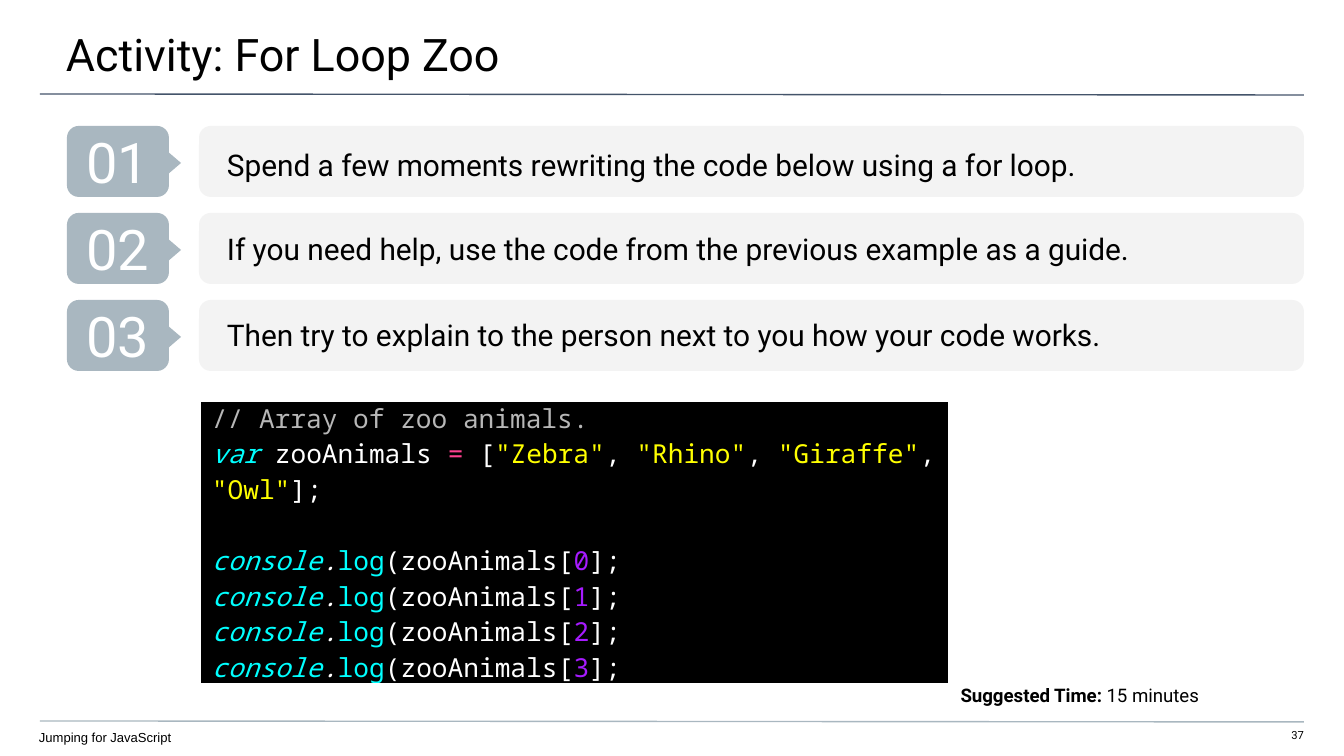
from lxml import etree
from pptx import Presentation
from pptx.dml.color import RGBColor
from pptx.enum.shapes import MSO_CONNECTOR, MSO_SHAPE
from pptx.enum.text import MSO_ANCHOR, MSO_AUTO_SIZE, PP_ALIGN
from pptx.oxml.ns import qn
from pptx.util import Pt

LEFT, CENTER, RIGHT = PP_ALIGN.LEFT, PP_ALIGN.CENTER, PP_ALIGN.RIGHT
TOP, MIDDLE = MSO_ANCHOR.TOP, MSO_ANCHOR.MIDDLE
ROUND, ARROW = MSO_SHAPE.ROUNDED_RECTANGLE, MSO_SHAPE.FLOWCHART_EXTRACT

BLACK = RGBColor(0x00, 0x00, 0x00)
WHITE = RGBColor(0xFF, 0xFF, 0xFF)
NAVY = RGBColor(0x44, 0x54, 0x6A)
SLATE = RGBColor(0xA9, 0xB7, 0xC0)
PALE = RGBColor(0xF3, 0xF3, 0xF3)
GRAY = RGBColor(0xB7, 0xB7, 0xB7)
CYAN = RGBColor(0x00, 0xFF, 0xFF)
PINK = RGBColor(0xFF, 0x40, 0x8F)
YELLOW = RGBColor(0xFF, 0xFF, 0x00)
PURPLE = RGBColor(0xA7, 0x1B, 0xFF)

TITLE = "Activity: For Loop Zoo"
STEPS = [
    ("01", "Spend a few moments rewriting the code below using a for loop.", 6),
    ("02", "If you need help, use the code from the previous example as a guide.", 3),
    ("03", "Then try to explain to the person next to you how your code works.", 2),
]
TIME = [("Suggested Time: ", {"bold": True}), ("15 minutes", {})]
FOOTER = "Jumping for JavaScript"
PAGE = "37"
ANIMALS = ["Zebra", "Rhino", "Giraffe", "Owl"]


def code_run(text, color=WHITE, italic=False):
    return text, {"color": color, "italic": italic}


def array_line():
    runs = [code_run("var ", CYAN, True), code_run("zooAnimals "),
            code_run("=", PINK), code_run(" [")]
    for i, animal in enumerate(ANIMALS):
        if i:
            runs.append(code_run(", "))
        runs.append(code_run(f'"{animal}"', YELLOW))
    return runs + [code_run("];")]


def log_line(i):
    return [code_run("console", CYAN, True), code_run(".", WHITE, True),
            code_run("log", CYAN), code_run("(zooAnimals["),
            code_run(str(i), PURPLE), code_run("];")]


CODE = [[code_run("// Array of zoo animals.", GRAY)], array_line(), []]
CODE += [log_line(i) for i in range(len(ANIMALS))]

EMU_PER_PX = 914400 / 134.4
STEP_TOP, STEP_PITCH, STEP_H = 126, 87, 71
FULL_X, FULL_W = -1, 1348


def px(*values):
    return [round(v * EMU_PER_PX) for v in values]


def write(p, runs, size, font="Roboto", color=BLACK, align=LEFT):
    p.alignment = align
    for text, style in runs:
        r = p.add_run()
        r.text = text
        r.font.name, r.font.size = font, Pt(size)
        r.font.color.rgb = style.get("color", color)
        r.font.bold = style.get("bold", False)
        r.font.italic = style.get("italic", False)


def set_text(s, text, size, insets=(0, 0, 0, 0), anchor=TOP, **fmt):
    tf = s.text_frame
    tf.word_wrap, tf.auto_size = True, MSO_AUTO_SIZE.NONE
    tf.vertical_anchor = anchor
    tf.margin_left, tf.margin_top, tf.margin_right, tf.margin_bottom = px(*insets)
    runs = [(text, {})] if isinstance(text, str) else text
    write(tf.paragraphs[0], runs, size, **fmt)


def add_text(shapes, box, text, size, **fmt):
    set_text(shapes.add_textbox(*px(*box)), text, size, **fmt)


def add_block(shapes, kind, box, fill):
    s = shapes.add_shape(kind, *px(*box))
    s.shadow.inherit = False
    s.fill.solid()
    s.fill.fore_color.rgb = fill
    s.line.fill.background()
    return s


def add_rule(shapes, y1, y2, color):
    s = shapes.add_connector(MSO_CONNECTOR.STRAIGHT, *px(40, y1, 1304, y2))
    s.line.color.rgb, s.line.width = color, Pt(0.75)
    etree.SubElement(s._element.spPr, qn("a:effectLst"))


def add_step(shapes, y, number, text, offset):
    add_block(shapes, ROUND, (199, y, 1105, STEP_H), PALE)
    badge = shapes.add_group_shape().shapes
    s = add_block(badge, ROUND, (67, y, 102, STEP_H), SLATE)
    set_text(s, number, 30, insets=(13, 13, 13, 13), anchor=MIDDLE,
             color=WHITE, align=CENTER)
    add_block(badge, ARROW, (143, y + 23, 48, 28), SLATE).rotation = 90
    add_text(shapes, (FULL_X, y + offset, FULL_W, 66), text, 16,
             insets=(228, 0, 67, 0), anchor=MIDDLE)


def add_border(cell, color, width):
    tc_pr = cell._tc.get_or_add_tcPr()
    for i, side in enumerate(("lnL", "lnR", "lnT", "lnB")):
        ln = etree.Element(qn(f"a:{side}"), w=str(Pt(width)))
        fill = etree.SubElement(ln, qn("a:solidFill"))
        etree.SubElement(fill, qn("a:srgbClr"), val=str(color))
        tc_pr.insert(i, ln)


def add_code(shapes, lines, size=14, font="Noto Sans Mono"):
    cell = shapes.add_table(1, 1, *px(199, 400, 751, 266)).table.cell(0, 0)
    cell.fill.solid()
    cell.fill.fore_color.rgb = BLACK
    add_border(cell, WHITE, 2.25)
    cell.vertical_anchor = MIDDLE
    cell.margin_left, cell.margin_top, cell.margin_right, cell.margin_bottom = px(13, 0, 13, 0)
    tf = cell.text_frame
    for i, line in enumerate(lines):
        p = tf.add_paragraph() if i else tf.paragraphs[0]
        write(p, line, size, font=font)
        if not line:
            end = etree.SubElement(p._p, qn("a:endParaRPr"), sz=str(size * 100))
            etree.SubElement(end, qn("a:latin"), typeface=font)


def main():
    prs = Presentation()
    prs.slide_width, prs.slide_height = px(1344, 756)
    slide = prs.slides.add_slide(prs.slide_layouts[5])
    shapes = slide.shapes

    title = shapes.title
    title.left, title.top, title.width, title.height = px(FULL_X, 0, FULL_W, 78)
    set_text(title, TITLE, 24, insets=(67, 27, 40, 13))
    add_rule(shapes, 94, 95, NAVY)
    add_rule(shapes, 721, 722, SLATE)

    for i, (number, text, offset) in enumerate(STEPS):
        add_step(shapes, STEP_TOP + i * STEP_PITCH, number, text, offset)
    add_code(shapes, CODE)

    add_text(shapes, (FULL_X, 683, FULL_W, 39), TIME, 10,
             insets=(161, 1, 148, 0), align=RIGHT)
    add_text(shapes, (FULL_X, 723, 1172, 33), FOOTER, 7,
             insets=(40, 7, 0, 0), font="Arial")
    add_text(shapes, (1265, 728, 39, 16), PAGE, 6, align=RIGHT)
    prs.save("out.pptx")


if __name__ == "__main__":
    main()
